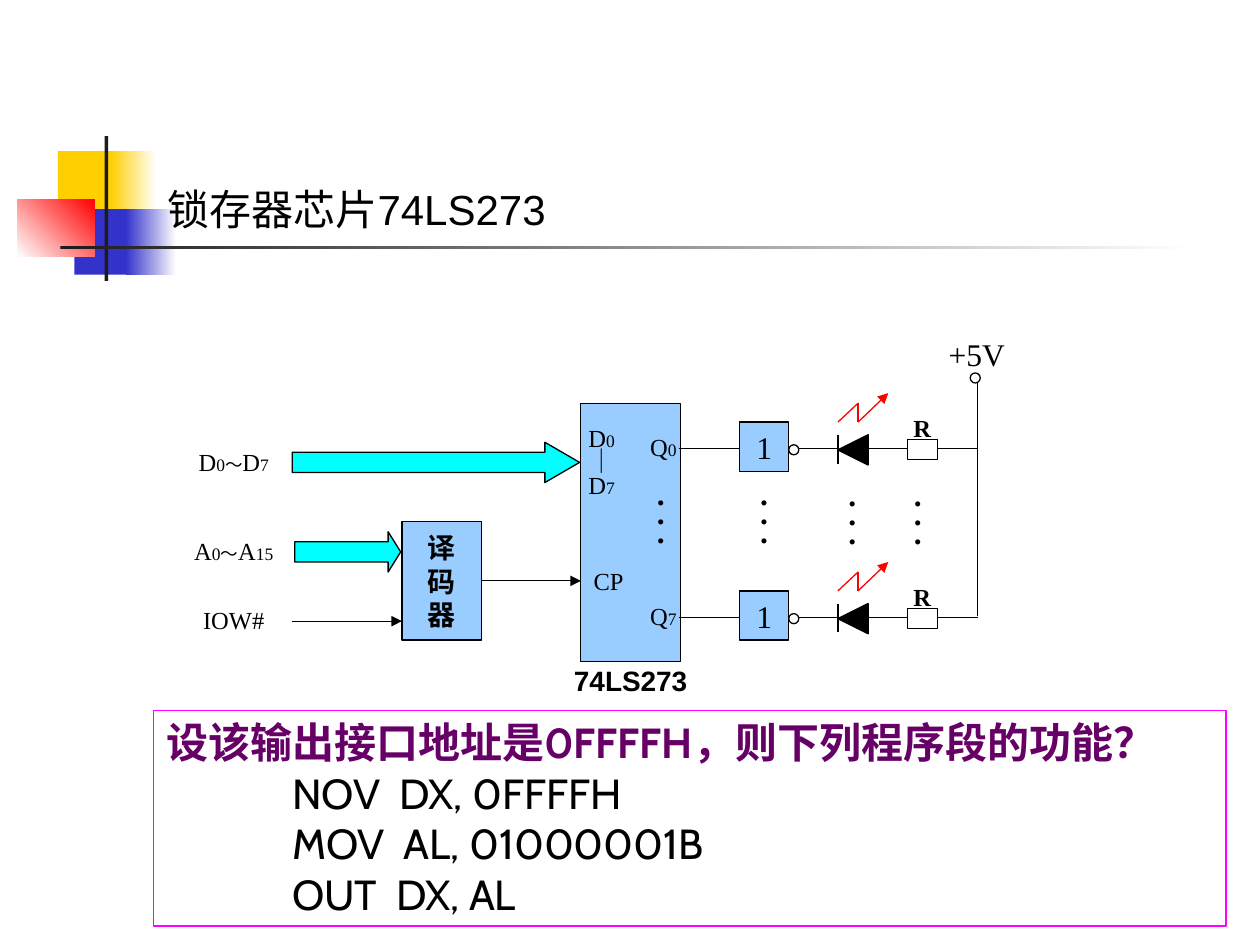
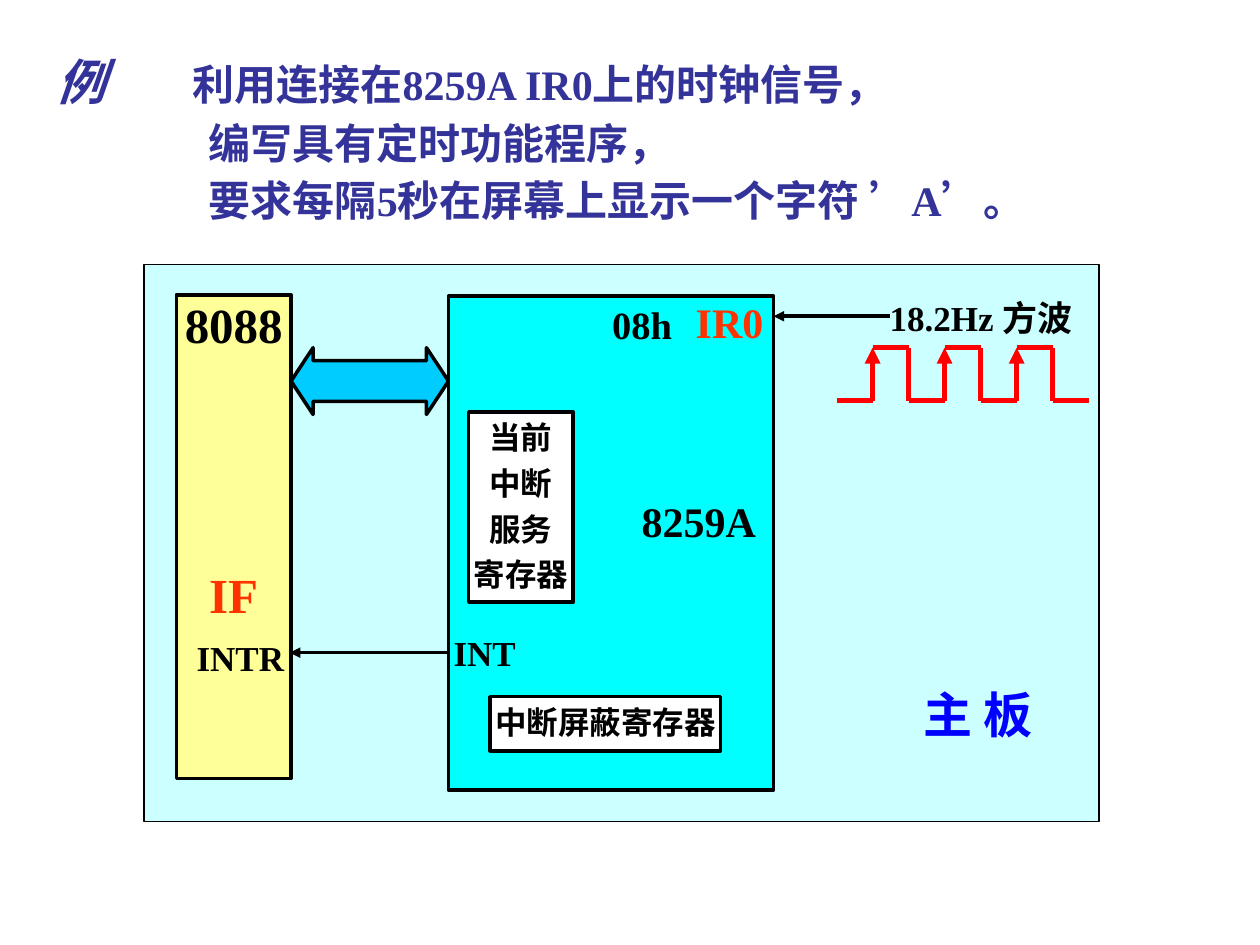
import pptx
import pptx.util
import pptx.dml.color
import pptx.enum.shapes
import pptx.enum.text
import pptx.oxml.ns
import lxml.etree

Inches, Pt = pptx.util.Inches, pptx.util.Pt
RGB = pptx.dml.color.RGBColor
KIND = pptx.enum.shapes.MSO_SHAPE
ALIGN = pptx.enum.text.PP_ALIGN
ANCHOR = pptx.enum.text.MSO_ANCHOR
qn = pptx.oxml.ns.qn

# Colours and fonts
BLACK, WHITE, RED = RGB(0, 0, 0), RGB(255, 255, 255), RGB(255, 0, 0)
CHARCOAL, GOLD, INDIGO = RGB(0x1C, 0x1C, 0x1C), RGB(0xFF, 0xCF, 0x01), RGB(0x33, 0x33, 0xCC)
CHIP_BLUE, CYAN, BUS_BLUE = RGB(0x99, 0xCC, 0xFF), RGB(0, 255, 255), RGB(0, 0xCC, 0xFF)
MAGENTA, PURPLE, NAVY = RGB(255, 0, 255), RGB(0x66, 0, 0x66), RGB(0x33, 0x33, 0x99)
BOARD, CPU_YELLOW = RGB(0xCC, 255, 255), RGB(255, 255, 0x99)
ORANGE, BLUE = RGB(255, 0x33, 0), RGB(0, 0, 255)
SERIF, SANS, CJK, CODE = "Times New Roman", "Arial", "Noto Sans CJK SC", "Cabin"

# Content; places are left, top, width, height on a grid of 10 by 7.5 one-inch cells
LATCH_TITLE = "锁存器芯片74LS273"
QUESTION = "设该输出接口地址是0FFFFH，则下列程序段的功能？"
PROGRAM = ["NOV  DX, 0FFFFH", "MOV  AL, 01000001B", "OUT  DX, AL"]
MOTIF = [  # place, colours from start to end, angle
    ((0.46, 1.2, 0.48, 0.52), (GOLD,), 0),
    ((0.88, 1.2, 0.36, 0.52), (GOLD, WHITE), 0),
    ((0.59, 1.66, 0.46, 0.52), (INDIGO,), 0),
    ((1, 1.66, 0.4, 0.52), (INDIGO, WHITE), 0),
    ((0.14, 1.58, 0.61, 0.46), (WHITE, RED), 45),
    ((0.83, 1.08, 0.03, 1.15), (CHARCOAL,), 0),
    ((0.48, 1.95, 9, 0.03), (CHARCOAL, WHITE), 0),
]
# A bar switches between normal and small type
PINS = [  # lines, place, line spacing
    (["D|0", "｜", "D|7"], (4.59, 3.4, 0.37, 0.56), 0.8),
    (["CP"], (4.67, 4.49, 0.32, 0.23), 1),
    (["D|0～|D|7"], (1.46, 3.59, 0.79, 0.19), 0.8),
    (["A|0～|A|15"], (1.46, 4.3, 0.79, 0.19), 0.8),
    (["IOW#"], (1.46, 4.85, 0.79, 0.19), 0.8),
]
CHANNELS = [("Q|0", 3.56), ("Q|7", 4.9)]
DOT_COLUMNS = [(5.16, 3.89), (5.98, 3.89), (6.68, 3.9), (7.2, 3.9)]

EXAMPLE = ["利用连接在8259A IR0上的时钟信号，",
           "编写具有定时功能程序，",
           "要求每隔5秒在屏幕上显示一个字符 ’A’。"]
BOARD_LABELS = [  # text, place, size, colour, font, alignment
    ("INTR", (1.56, 5.05, 0.81, 0.38), 20, BLACK, SERIF, ALIGN.LEFT),
    ("INT", (3.6, 5.01, 0.64, 0.41), 20, BLACK, SERIF, ALIGN.LEFT),
    ("IF", (1.66, 4.48, 0.5, 0.47), 28, ORANGE, SERIF, ALIGN.LEFT),
    ("IR0", (5.47, 2.35, 0.64, 0.45), 24, ORANGE, SERIF, ALIGN.CENTER),
    ("08h", (4.82, 2.39, 0.55, 0.4), 22, BLACK, SERIF, ALIGN.CENTER),
    ("8259A", (4.95, 3.93, 1.19, 0.44), 24, BLACK, SERIF, ALIGN.CENTER),
    ("18.2Hz 方波", (7.06, 2.35, 1.58, 0.42), 20, BLACK, SERIF, ALIGN.LEFT),
    ("主 板", (7.06, 5.43, 1.41, 0.48), 28, BLUE, CJK, ALIGN.CENTER),
]
REGISTERS = [  # lines, place
    (["中断屏蔽寄存器"], (3.89, 5.53, 1.83, 0.43)),
    (["当前", "中断", "服务", "寄存器"], (3.72, 3.27, 0.83, 1.51)),
]


def cells(place):
    return [Inches(length) for length in place]


def style_run(run, size, color=BLACK, font=SERIF, bold=False, italic=False, east=None):
    run.font.size, run.font.name = Pt(size), font
    run.font.bold, run.font.italic = bold, italic
    run.font.color.rgb = color
    east = east or (CJK if font == CJK else None)
    if east:
        latin = run.font._element.find(qn("a:latin"))
        face = lxml.etree.Element(qn("a:ea"))
        face.set("typeface", east)
        latin.addnext(face)


def indent(paragraph, columns):
    properties = paragraph._p.get_or_add_pPr()
    properties.set("marL", str(Inches(columns)))
    properties.set("indent", "0")


def write(shape, lines, size, align=ALIGN.CENTER, spacing=1, after=0, anchor=ANCHOR.TOP,
          inset=(0, 0), small=10, **look):
    frame = shape.text_frame
    frame.word_wrap, frame.vertical_anchor = True, anchor
    frame.auto_size = pptx.enum.text.MSO_AUTO_SIZE.NONE
    frame.margin_left = frame.margin_right = Inches(inset[0])
    frame.margin_top = frame.margin_bottom = Inches(inset[1])
    frame.text = "\n".join(line.split("|")[0] for line in lines)
    for paragraph, line in zip(frame.paragraphs, lines):
        paragraph.alignment, paragraph.line_spacing = align, spacing
        paragraph.space_before, paragraph.space_after = Pt(0), Pt(after)
        for part in line.split("|")[1:]:
            paragraph.add_run().text = part
        for index, run in enumerate(paragraph.runs):
            style_run(run, small if index % 2 else size, **look)
    return frame


def label(slide, lines, place, size, **style):
    return write(slide.shapes.add_textbox(*cells(place)), lines, size, **style)


def box(slide, kind, place, fill=None, line=BLACK, width=0.75, adjust=()):
    shape = slide.shapes.add_shape(kind, *cells(place))
    shape.shadow.inherit = False
    for index, value in enumerate(adjust):
        shape.adjustments[index] = value
    if fill is None:
        shape.fill.background()
    else:
        shape.fill.solid()
        shape.fill.fore_color.rgb = fill
    if line is None:
        shape.line.fill.background()
    else:
        shape.line.color.rgb, shape.line.width = line, Pt(width)
    return shape


def wires(slide, *points, color=BLACK, width=0.75, arrow=False):
    """Join the points; an arrow sits on the last stretch."""
    for start, end in zip(points, points[1:]):
        wire = slide.shapes.add_connector(
            pptx.enum.shapes.MSO_CONNECTOR.STRAIGHT, *cells(start + end))
        wire.line.color.rgb, wire.line.width = color, Pt(width)
        lxml.etree.SubElement(wire._element.spPr, qn("a:effectLst"))
        if arrow and end == points[-1]:
            head = lxml.etree.SubElement(wire.line._get_or_add_ln(), qn("a:tailEnd"))
            head.set("type", "triangle")


def title_motif(slide):
    for place, colors, angle in MOTIF:
        block = box(slide, KIND.RECTANGLE, place, colors[0], None)
        if len(colors) > 1:
            block.fill.gradient()
            block.fill.gradient_angle = angle
            for stop, color in zip(block.fill.gradient_stops, colors):
                stop.color.rgb = color


def led_channel(slide, pin, y):
    label(slide, [pin], (5.11, y - 0.13, 0.31, 0.23), 14)
    for start, end in [(5.39, 5.87), (6.34, 6.65), (6.89, 7.2), (7.44, 7.76)]:
        wires(slide, (start, y), (end, y))
    inverter = box(slide, KIND.RECTANGLE, (5.87, y - 0.21, 0.39, 0.39), CHIP_BLUE)
    write(inverter, ["1"], 18, anchor=ANCHOR.MIDDLE)
    box(slide, KIND.OVAL, (6.26, y - 0.03, 0.08, 0.08))
    wires(slide, (6.65, y - 0.11), (6.65, y + 0.12))
    diode = box(slide, KIND.ISOSCELES_TRIANGLE, (6.65, y - 0.11, 0.24, 0.24), BLACK)
    diode.rotation = 270
    wires(slide, (6.65, y - 0.21), (6.81, y - 0.36), (6.81, y - 0.21), (7.05, y - 0.44),
          color=RED, arrow=True)
    box(slide, KIND.RECTANGLE, (7.2, y - 0.07, 0.24, 0.16))
    label(slide, ["R"], (7.2, y - 0.28, 0.24, 0.23), 14, bold=True)


def latch_slide(deck):
    slide = deck.slides.add_slide(deck.slide_layouts[5])
    title_motif(slide)
    title = slide.shapes.title
    title.left, title.top, title.width, title.height = cells((1.23, 1.42, 3.55, 0.47))
    write(title, [LATCH_TITLE], 24, align=ALIGN.LEFT, anchor=ANCHOR.MIDDLE,
          inset=(0.1, 0.05), font=SANS, east=CJK)
    slide.shapes._spTree.append(title._element)  # in front of the motif

    # Latch, decoder and their inputs
    box(slide, KIND.RECTANGLE, (4.61, 3.2, 0.79, 2.05), CHIP_BLUE)
    label(slide, ["74LS273"], (4.53, 5.32, 0.95, 0.21), 16, spacing=0.8, font=SANS, bold=True)
    decoder = box(slide, KIND.RECTANGLE, (3.19, 4.14, 0.63, 0.94), CHIP_BLUE)
    write(decoder, ["译", "码", "器"], 16, anchor=ANCHOR.MIDDLE, bold=True)
    box(slide, KIND.RIGHT_ARROW, (2.32, 3.51, 2.28, 0.32), CYAN, adjust=(0.5, 0.86))
    box(slide, KIND.RIGHT_ARROW, (2.34, 4.22, 0.84, 0.32), CYAN, adjust=(0.5, 0.31))
    wires(slide, (2.32, 4.93), (3.19, 4.93), arrow=True)
    wires(slide, (3.82, 4.61), (4.61, 4.61), arrow=True)
    for lines, place, spacing in PINS:
        label(slide, lines, place, 14, spacing=spacing)

    # Light channels and supply
    for pin, y in CHANNELS:
        led_channel(slide, pin, y)
    for left, top in DOT_COLUMNS:
        label(slide, ["."] * 3, (left, top, 0.17, 0.45), 18, spacing=0.5, bold=True)
    label(slide, ["+5V"], (7.53, 2.66, 0.47, 0.3), 18, align=ALIGN.LEFT)
    box(slide, KIND.OVAL, (7.7, 2.96, 0.08, 0.08))
    wires(slide, (7.76, 3.04), (7.76, 4.89))

    # Question with its program
    task = box(slide, KIND.RECTANGLE, (1.22, 5.64, 8.51, 1.71), line=MAGENTA)
    frame = write(task, [QUESTION] + PROGRAM, 24, align=ALIGN.LEFT, inset=(0.1, 0.05), font=CODE)
    question, *program = frame.paragraphs
    question.runs[0].font.bold = True
    question.runs[0].font.color.rgb = PURPLE
    for step in program:
        indent(step, 1)


def timer_slide(deck):
    slide = deck.slides.add_slide(deck.slide_layouts[6])

    # Example text, hung from a tab stop
    frame = label(slide, ["例|\t" + EXAMPLE[0]] + EXAMPLE[1:], (0.35, 0.36, 9.08, 1.46), 24,
                  small=24, align=ALIGN.LEFT, after=4, inset=(0.1, 0.05), color=NAVY, bold=True)
    first, *others = frame.paragraphs
    style_run(first.runs[0], 28, NAVY, CJK, True, True)
    tabs = lxml.etree.SubElement(first._p.get_or_add_pPr(), qn("a:tabLst"))
    stop = lxml.etree.SubElement(tabs, qn("a:tab"))
    stop.set("pos", str(Inches(1.08)))
    stop.set("algn", "l")
    for paragraph in others:
        indent(paragraph, 1.21)

    # Board, processor and interrupt controller
    box(slide, KIND.RECTANGLE, (1.14, 2.1, 7.58, 4.42), BOARD, width=1)
    processor = box(slide, KIND.RECTANGLE, (1.4, 2.34, 0.91, 3.84), CPU_YELLOW, width=2)
    write(processor, ["8088"], 28, bold=True)
    box(slide, KIND.LEFT_RIGHT_ARROW, (2.31, 2.76, 1.25, 0.53), BUS_BLUE, width=2,
        adjust=(0.61, 0.33))
    box(slide, KIND.RECTANGLE, (3.56, 2.35, 2.58, 3.92), CYAN, width=2)
    for lines, place in REGISTERS:
        register = box(slide, KIND.RECTANGLE, place, WHITE, width=2)
        write(register, lines, 18, after=4.5 if len(lines) > 1 else 0, inset=(0, 0.05), bold=True)
    for text, place, size, color, font, align in BOARD_LABELS:
        label(slide, [text], place, size, align=align, color=color, font=font, bold=True)
    wires(slide, (3.56, 5.18), (2.3, 5.18), width=2, arrow=True)
    wires(slide, (7.06, 2.51), (6.14, 2.51), width=2, arrow=True)

    # Square wave: three pulses and a closing low stretch
    left, high, low, half = 6.64, 2.76, 3.18, 2 / 7
    pen = dict(color=RED, width=3)
    for pulse in range(3):
        start = left + 2 * half * pulse
        rise, fall = start + half, start + 2 * half
        wires(slide, (start, low), (rise, low), (rise, high), arrow=True, **pen)
        wires(slide, (rise, high), (fall, high), (fall, low), **pen)
    wires(slide, (fall, low), (fall + half, low), **pen)


def main():
    deck = pptx.Presentation()
    deck.slide_width, deck.slide_height = Inches(10), Inches(7.5)
    latch_slide(deck)
    timer_slide(deck)
    deck.save("out.pptx")


if __name__ == "__main__":
    main()
